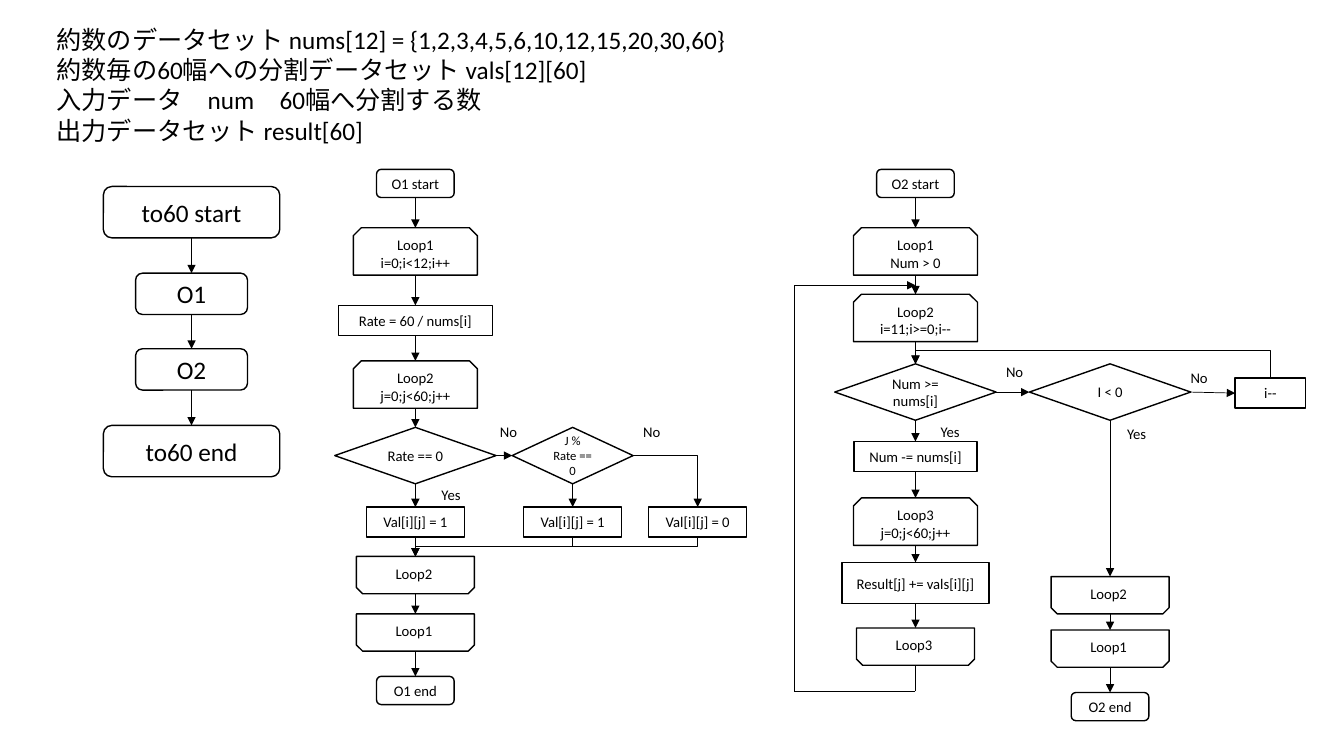
"""Build the slide with the three flowcharts of the division into 60."""
from lxml.etree import SubElement
from pptx import Presentation
from pptx.dml.color import RGBColor
from pptx.enum.shapes import MSO_CONNECTOR, MSO_SHAPE
from pptx.enum.text import MSO_ANCHOR, PP_ALIGN
from pptx.oxml.ns import qn
from pptx.util import Inches, Pt

COLORS = {"ink": "000000", "paper": "FFFFFF"}
FONT = "Calibri"

DATASETS = [
    "約数のデータセット nums[12] = {1,2,3,4,5,6,10,12,15,20,30,60}",
    "約数毎の60幅への分割データセット vals[12][60]",
    "入力データ\u3000num\u300060幅へ分割する数",
    "出力データセット result[60]",
]

# style: preset, width, height, text size
STYLES = {
    "main terminal": (MSO_SHAPE.FLOWCHART_ALTERNATE_PROCESS, 1.75, 0.51, 18),
    "main step": (MSO_SHAPE.FLOWCHART_ALTERNATE_PROCESS, 1.11, 0.41, 18),
    "terminal": (MSO_SHAPE.FLOWCHART_ALTERNATE_PROCESS, 0.77, 0.28, 10.5),
    "loop start": (MSO_SHAPE.SNIP_2_SAME_RECTANGLE, 1.23, 0.47, 10.5),
    "loop end": (MSO_SHAPE.SNIP_2_SAME_RECTANGLE, 1.17, 0.37, 10.5),
    "decision": (MSO_SHAPE.FLOWCHART_DECISION, 1.6, 0.56, 10.5),
    "small decision": (MSO_SHAPE.FLOWCHART_DECISION, 1.2, 0.56, 9),
    "rate": (MSO_SHAPE.RECTANGLE, 1.53, 0.3, 10.5),
    "assign": (MSO_SHAPE.RECTANGLE, 0.97, 0.3, 10.5),
    "subtract": (MSO_SHAPE.RECTANGLE, 1.22, 0.3, 10.5),
    "count": (MSO_SHAPE.RECTANGLE, 0.7, 0.3, 10.5),
    "add": (MSO_SHAPE.RECTANGLE, 1.46, 0.41, 10.5),
}

# nodes: style, centre x, top, text; elbows: from, side, to, preset, rotation, flip, bend
FLOWCHARTS = [
    {
        "nodes": {
            "start": ("main terminal", 1.9, 1.85, "to60 start"),
            "o1": ("main step", 1.9, 2.71, "O1"),
            "o2": ("main step", 1.9, 3.46, "O2"),
            "end": ("main terminal", 1.9, 4.22, "to60 end"),
        },
        "down": [("start", "o1", "o2", "end")],
        "right": [], "elbows": [], "answers": [], "return": [],
    },
    {
        "nodes": {
            "start": ("terminal", 4.12, 1.68, "O1 start"),
            "loop1": ("loop start", 4.12, 2.26, "Loop1\ni=0;i<12;i++"),
            "rate": ("rate", 4.12, 3.03, "Rate = 60 / nums[i]"),
            "loop2": ("loop start", 4.12, 3.58, "Loop2\nj=0;j<60;j++"),
            "is zero": ("decision", 4.12, 4.24, "Rate == 0"),
            "divides": ("small decision", 5.68, 4.24, "J % Rate == 0"),
            "zero val": ("assign", 4.12, 5.03, "Val[i][j] = 1"),
            "hit val": ("assign", 5.68, 5.03, "Val[i][j] = 1"),
            "miss val": ("assign", 6.92, 5.03, "Val[i][j] = 0"),
            "loop2 end": ("loop end", 4.12, 5.52, "Loop2"),
            "loop1 end": ("loop end", 4.12, 6.09, "Loop1"),
            "end": ("terminal", 4.12, 6.71, "O1 end"),
        },
        "down": [("start", "loop1", "rate", "loop2", "is zero", "zero val",
                  "loop2 end", "loop1 end", "end"), ("divides", "hit val")],
        "right": [("is zero", "divides")],
        "elbows": [
            ("divides", "right", "miss val", "bentConnector2", 0, False, None),
            ("hit val", "bottom", "loop2 end", "bentConnector3", 90, False, 0.5),
            ("miss val", "bottom", "loop2 end", "bentConnector3", 90, False, 0.5),
        ],
        "answers": [("Yes", 4.28, 4.77), ("No", 4.86, 4.15), ("No", 6.28, 4.15)],
        "return": [],
    },
    {
        "nodes": {
            "start": ("terminal", 9.08, 1.68, "O2 start"),
            "loop1": ("loop start", 9.08, 2.26, "Loop1\nNum > 0"),
            "loop2": ("loop start", 9.08, 2.92, "Loop2\ni=11;i>=0;i--"),
            "fits": ("decision", 9.08, 3.61, "Num >= nums[i]"),
            "below zero": ("decision", 11.01, 3.61, "I < 0"),
            "next": ("count", 12.6, 3.75, "i--"),
            "subtract": ("subtract", 9.08, 4.38, "Num -= nums[i]"),
            "loop3": ("loop start", 9.08, 4.94, "Loop3\nj=0;j<60;j++"),
            "add": ("add", 9.08, 5.58, "Result[j] += vals[i][j]"),
            "loop3 end": ("loop end", 9.08, 6.23, "Loop3"),
            "loop2 end": ("loop end", 11.01, 5.72, "Loop2"),
            "loop1 end": ("loop end", 11.01, 6.25, "Loop1"),
            "end": ("terminal", 11.01, 6.87, "O2 end"),
        },
        "down": [("start", "loop1", "loop2", "fits", "subtract", "loop3", "add", "loop3 end"),
                 ("below zero", "loop2 end", "loop1 end", "end")],
        "right": [("fits", "below zero", "next")],
        "elbows": [("next", "top", "fits", "bentConnector3", 270, True, 1.97)],
        "answers": [("Yes", 9.23, 4.15), ("No", 9.88, 3.55),
                    ("Yes", 11.08, 4.17), ("No", 11.71, 3.61)],
        "return": [(9.08, 6.6), (9.08, 6.86), (7.88, 6.86), (7.88, 2.83), (9.08, 2.83)],
    },
]

SITES = {"top": 0, "left": 1, "bottom": 2, "right": 3}
LOOP_SITES = {0: {"top": 3, "bottom": 1}, 180: {"top": 1, "bottom": 3}}


def color(name):
    return RGBColor.from_string(COLORS[name])


def write(frame, lines, size, align):
    frame.word_wrap = True
    for index, line in enumerate(lines):
        paragraph = frame.paragraphs[0] if index == 0 else frame.add_paragraph()
        paragraph.alignment = align
        run = paragraph.add_run()
        run.text = line
        run.font.name, run.font.size = FONT, Pt(size)
        run.font.color.rgb = color("ink")


def add_label(shapes, text, left, top, width, height):
    label = shapes.add_textbox(*map(Inches, (left, top, width, height)))
    write(label.text_frame, [text], 10.5, PP_ALIGN.LEFT)


def add_node(shapes, style, center, top, text):
    preset, width, height, size = STYLES[style]
    left = center - width / 2
    node = shapes.add_shape(preset, *map(Inches, (left, top, width, height)))
    node.shadow.inherit = False
    node.fill.solid()
    node.fill.fore_color.rgb = color("paper")
    node.line.color.rgb = color("ink")
    node.line.width = Pt(1)
    if style == "loop end":
        node.rotation = 180
        add_label(shapes, text, left + 0.29, top + 0.03, 0.58, 0.28)
    else:
        node.text_frame.vertical_anchor = MSO_ANCHOR.MIDDLE
        write(node.text_frame, text.split("\n"), size, PP_ALIGN.CENTER)
    return node


def add_line(shapes, begin, end, kind=MSO_CONNECTOR.STRAIGHT, arrow=True):
    line = shapes.add_connector(kind, *begin, *end)
    line.line.color.rgb = color("ink")
    line.line.width = Pt(0.5)
    properties = line._element.spPr
    if arrow:
        SubElement(properties.find(qn("a:ln")), qn("a:tailEnd"), type="triangle")
    SubElement(properties, qn("a:effectLst"))
    return line


def port(node, side):
    across = {"left": 0, "right": 1}.get(side, 0.5)
    down = {"top": 0, "bottom": 1}.get(side, 0.5)
    return int(node.left + node.width * across), int(node.top + node.height * down)


def site(node, side):
    if node.auto_shape_type == MSO_SHAPE.SNIP_2_SAME_RECTANGLE:
        return LOOP_SITES[int(node.rotation)][side]
    return SITES[side]


def link(shapes, source, exit_side, target, entry_side, preset=None, turn=0, flip=False, bend=None):
    begin, end = port(source, exit_side), port(target, entry_side)
    kind = MSO_CONNECTOR.ELBOW if preset else MSO_CONNECTOR.STRAIGHT
    line = add_line(shapes, begin, end, kind)
    line.begin_connect(source, site(source, exit_side))
    line.end_connect(target, site(target, entry_side))
    width, height = abs(end[0] - begin[0]), abs(end[1] - begin[1])
    if turn:
        width, height = height, width
    line.left = (begin[0] + end[0] - width) // 2
    line.top = (begin[1] + end[1] - height) // 2
    line.width, line.height = width, height
    frame = line._element.spPr.find(qn("a:xfrm"))
    for attribute in ("flipH", "flipV"):
        frame.attrib.pop(attribute, None)
    if turn:
        frame.set("rot", str(turn * 60000))
    if flip:
        frame.set("flipV", "1")
    if preset:
        geometry = line._element.spPr.find(qn("a:prstGeom"))
        geometry.set("prst", preset)
        if bend:
            guides = geometry.find(qn("a:avLst"))
            SubElement(guides, qn("a:gd"), name="adj1", fmla=f"val {round(bend * 100000)}")


def add_flowchart(slide, chart):
    shapes = slide.shapes.add_group_shape().shapes
    nodes = {name: add_node(shapes, *node) for name, node in chart["nodes"].items()}
    for direction, sides in (("down", ("bottom", "top")), ("right", ("right", "left"))):
        for chain in chart[direction]:
            for source, target in zip(chain, chain[1:]):
                link(shapes, nodes[source], sides[0], nodes[target], sides[1])
    for source, side, target, *route in chart["elbows"]:
        link(shapes, nodes[source], side, nodes[target], "top", *route)
    corners = [tuple(map(Inches, corner)) for corner in chart["return"]]
    for begin, end in zip(corners, corners[1:]):
        add_line(shapes, begin, end, arrow=end is corners[-1])
    for text, left, top in chart["answers"]:
        add_label(shapes, text, left, top, 0.72, 0.29)


deck = Presentation()
deck.slide_width, deck.slide_height = Inches(13.33), Inches(7.5)
slide = deck.slides.add_slide(deck.slide_layouts[5])
heading = slide.shapes.title
heading.left, heading.top, heading.width, heading.height = map(Inches, (0.46, 0.19, 8.03, 1.31))
heading.text_frame.vertical_anchor = MSO_ANCHOR.TOP
write(heading.text_frame, DATASETS, 18, PP_ALIGN.LEFT)
for flowchart in FLOWCHARTS:
    add_flowchart(slide, flowchart)
deck.save("out.pptx")
